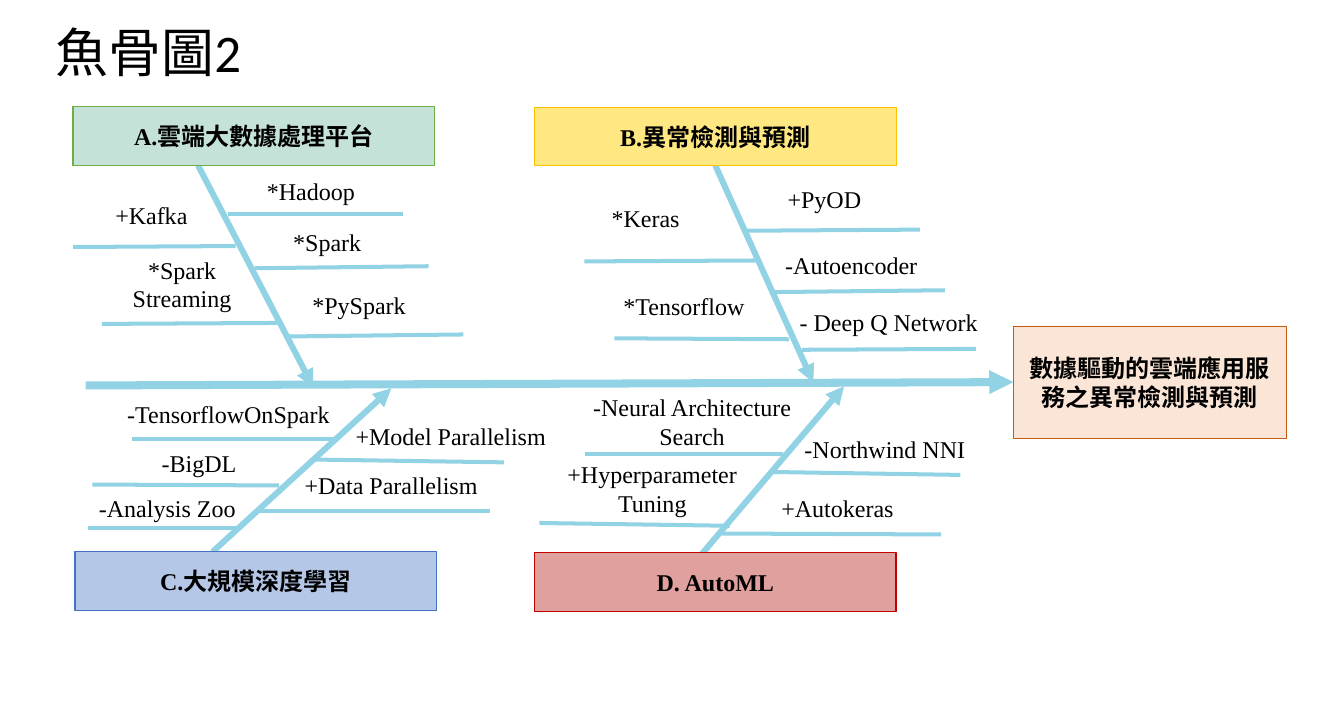
import math
import pptx
import pptx.util
import pptx.dml.color
import pptx.enum.shapes
import pptx.enum.text
import pptx.oxml
import pptx.oxml.ns

Pt = pptx.util.Pt
RGBColor = pptx.dml.color.RGBColor
ALIGN = pptx.enum.text.PP_ALIGN
ANCHOR = pptx.enum.text.MSO_ANCHOR
FIT = pptx.enum.text.MSO_AUTO_SIZE

BLACK = RGBColor(0x00, 0x00, 0x00)
AQUA = RGBColor(0x91, 0xD2, 0xE4)
MINT = RGBColor(0xC4, 0xE2, 0xD8)
GREEN = RGBColor(0x70, 0xAD, 0x47)
LEMON = RGBColor(0xFF, 0xE8, 0x82)
GOLD = RGBColor(0xFF, 0xC0, 0x00)
SKY = RGBColor(0xB4, 0xC7, 0xE7)
BLUE = RGBColor(0x44, 0x72, 0xC4)
ROSE = RGBColor(0xE0, 0xA0, 0x9E)
RED = RGBColor(0xC0, 0x00, 0x00)
PEACH = RGBColor(0xFB, 0xE5, 0xD6)
RUST = RGBColor(0xC5, 0x5A, 0x11)

SERIF = "Times New Roman"
SANS = "Calibri"
HAN = "Noto Sans CJK SC"
NOTE = {"name": SERIF, "size": Pt(18), "bold": False}
HEAD = {"name": SERIF, "size": Pt(18), "bold": True}
GOAL = {"name": HAN, "size": Pt(18), "bold": True}
TITLE = {"name": SANS, "size": Pt(39.6), "bold": False}
MID, LEFT = ALIGN.CENTER, ALIGN.LEFT

BONES = [
    {"box": (54.7, 79.9, 270.8, 43.9), "text": "A.雲端大數據處理平台",
     "fill": MINT, "edge": GREEN, "width": 1,
     "spine": (93.6, 43.9, 180, 210.2),
     "ribs": [(115.9, 80.6, 247, 80.6), (136.1, 121, 266.4, 119.5),
              (161.3, 172.1, 292.3, 170.6), (0, 105.1, 121.7, 104.4),
              (21.6, 162.7, 152.6, 162)],
     "notes": [("*Hadoop", 126.7, 48.2, 103, 1, MID),
               ("*Spark", 133.9, 87.1, 113, 1, MID),
               ("*PySpark", 136.8, 133.9, 154.8, 1, MID),
               ("+Kafka", 5.8, 66.2, 105.8, 1, MID),
               ("*Spark Streaming", 14.4, 107.3, 134.6, 2, MID)]},
    {"box": (400.3, 80.6, 270.8, 43.2), "text": "B.異常檢測與預測",
     "fill": LEMON, "edge": GOLD, "width": 0.5,
     "spine": (135.4, 43.2, 208.8, 205.9),
     "ribs": [(158.4, 92.2, 288.7, 91.4), (176.4, 138.2, 307.4, 136.8),
              (200.2, 181.4, 330.5, 180.7), (37.4, 115.2, 168.5, 114.5),
              (59.8, 172.8, 190.8, 173.5)],
     "notes": [("+PyOD", 139.7, 54, 154.8, 1, MID),
               ("-Autoencoder", 180.7, 103, 116.6, 1, LEFT),
               ("- Deep Q Network", 191.5, 146.2, 157, 1, LEFT),
               ("*Keras", 5.8, 67.7, 154.8, 1, MID),
               ("*Tensorflow", 25.9, 133.9, 172.1, 1, MID)]},
    {"box": (56.2, 413.3, 270.8, 43.9), "text": "C.大規模深度學習",
     "fill": SKY, "edge": BLUE, "width": 1,
     "spine": (103, 0, 236.9, -122.4),
     "ribs": [(42.5, -84.2, 194.4, -84.2), (13, -50.4, 152.6, -49.7),
              (9.4, -18, 121.7, -18), (178.6, -69.1, 321.1, -67),
              (137.5, -30.2, 311, -30.2)],
     "notes": [("-TensorflowOnSpark", 23.8, -118.1, 182.2, 1, MID),
               ("-BigDL", 49, -81.4, 87.8, 1, MID),
               ("-Analysis Zoo", 10.8, -47.5, 131.8, 1, LEFT),
               ("+Model Parallelism", 203, -101.5, 169.9, 1, LEFT),
               ("+Data Parallelism", 164.9, -64.8, 172.8, 1, LEFT)]},
    {"box": (400.3, 414, 270.8, 43.9), "text": "D. AutoML",
     "fill": ROSE, "edge": RED, "width": 1,
     "spine": (118.8, 8.6, 231.8, -124.6),
     "ribs": [(38.2, -74.2, 186.5, -74.2), (3.6, -22.3, 146.2, -20.2),
              (176.4, -60.5, 319, -58.3), (140.4, -14.4, 304.6, -13.7)],
     "notes": [("-Neural Architecture Search", 33.1, -123.8, 169.9, 2, MID),
               ("+Hyperparameter Tuning", 3.6, -73.4, 169.2, 2, MID),
               ("-Northwind NNI", 177.8, -92.2, 169.2, 1, MID),
               ("+Autokeras", 177.8, -48.2, 112.3, 1, LEFT)]},
]


def write(frame, text, style, align):
    """Put one styled paragraph into a text frame."""
    frame.word_wrap = True
    frame.vertical_anchor = ANCHOR.MIDDLE
    para = frame.paragraphs[0]
    para.alignment = align
    run = para.add_run()
    run.text = text
    for key, value in style.items():
        setattr(run.font, key, value)
    run.font.color.rgb = BLACK
    east = pptx.oxml.parse_xml(
        f'<a:ea {pptx.oxml.ns.nsdecls("a")} typeface="{HAN}"/>')
    run.font._element.append(east)
    return para


def label(slide, box, text, style, align):
    """Add a text box and return it."""
    area = slide.shapes.add_textbox(*map(Pt, box))
    write(area.text_frame, text, style, align)
    return area


def block(slide, box, text, style, fill, edge, width):
    """Add a filled and outlined rectangle with centred text."""
    rect = slide.shapes.add_shape(
        pptx.enum.shapes.MSO_SHAPE.RECTANGLE, *map(Pt, box))
    rect.shadow.inherit = False
    rect.fill.solid()
    rect.fill.fore_color.rgb = fill
    rect.line.color.rgb = edge
    rect.line.width = Pt(width)
    write(rect.text_frame, text, style, MID)
    return rect


def line(slide, ends, width, arrow=False):
    """Add a straight line, with an arrowhead at its end if asked."""
    link = slide.shapes.add_connector(
        pptx.enum.shapes.MSO_CONNECTOR.STRAIGHT, *map(Pt, ends))
    link.line.color.rgb = AQUA
    link.line.width = Pt(width)
    space = pptx.oxml.ns.nsdecls("a")
    if arrow:
        link.line._get_or_add_ln().append(
            pptx.oxml.parse_xml(f'<a:tailEnd {space} type="triangle"/>'))
    link._element.spPr.append(pptx.oxml.parse_xml(f"<a:effectLst {space}/>"))
    return link


def bone(slide, box, part):
    """Draw one cause: its head, spine, ribs and notes."""
    left, top, wide, high = box

    def shift(ends):
        """Move a pair of points to the box."""
        return [a + b for a, b in zip(ends, (left, top, left, top))]

    for rib in part["ribs"]:
        line(slide, shift(rib), 3)
    spine = line(slide, shift(part["spine"]), 4.5, True)
    head = block(slide, box, part["text"], HEAD,
                 part["fill"], part["edge"], part["width"])
    if math.dist(part["spine"][:2], (wide / 2, high)) < 1:
        spine.begin_connect(head, 2)
    for text, x, y, span, rows, align in part["notes"]:
        area = (left + x, top + y, span, 7.2 + 21.8 * rows)
        note = label(slide, area, text, NOTE, align)
        note.text_frame.auto_size = FIT.SHAPE_TO_FIT_TEXT


def effect(slide, box):
    """Draw the goal and the main arrow that leads to it."""
    left, top, wide, high = box
    mid = top + high / 2
    trunk = line(slide, (left - 694.8, mid + 2.5, left, mid), 6, True)
    goal = block(slide, box, "數據驅動的雲端應用服務之異常檢測與預測",
                 GOAL, PEACH, RUST, 0.5)
    trunk.end_connect(goal, 1)


def title(slide, box):
    """Write the slide title."""
    area = label(slide, box, "魚骨圖2", TITLE, LEFT)
    area.text_frame.paragraphs[0].line_spacing = 0.9


def main():
    """Build the fishbone slide and save it."""
    deck = pptx.Presentation()
    deck.slide_width, deck.slide_height = Pt(1006.56), Pt(540)
    slide = deck.slides.add_slide(deck.slide_layouts[6])
    title(slide, (34.6, 15.1, 928.8, 52.6))
    effect(slide, (758.9, 244.1, 204.5, 84.2))
    for part in BONES:
        bone(slide, part["box"], part)
    deck.save("out.pptx")


if __name__ == "__main__":
    main()
